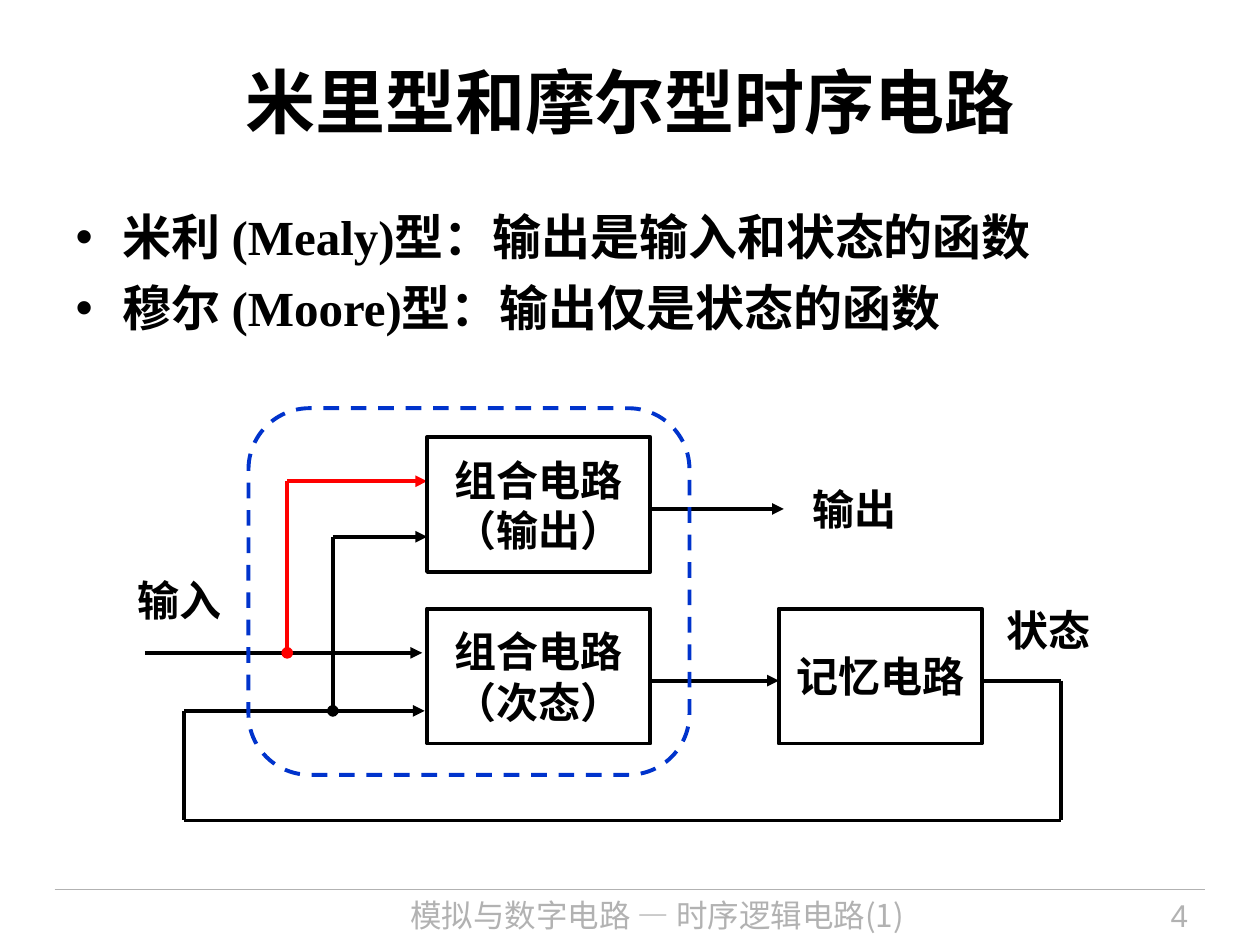
from lxml.etree import SubElement
from pptx import Presentation
from pptx.dml.color import RGBColor
from pptx.enum.dml import MSO_LINE
from pptx.enum.shapes import MSO_CONNECTOR, MSO_SHAPE
from pptx.enum.text import MSO_ANCHOR, MSO_AUTO_SIZE, PP_ALIGN
from pptx.oxml.ns import qn
from pptx.util import Cm, Pt

BLACK = RGBColor(0x00, 0x00, 0x00)
WHITE = RGBColor(0xFF, 0xFF, 0xFF)
RED = RGBColor(0xFF, 0x00, 0x00)
BLUE = RGBColor(0x00, 0x33, 0xCC)
GRAY = RGBColor(0xB2, 0xB2, 0xB2)
SERIF, SANS, CHINESE = "Times New Roman", "Arial", "Noto Sans CJK SC"


def format_paragraph(paragraph, size, font_name, color=BLACK, bold=True, align=PP_ALIGN.CENTER):
    paragraph.alignment = align
    font = paragraph.font
    font.size, font.name, font.bold = Pt(size), font_name, bold
    font.color.rgb = color


def place(shape, left, top, width, height):
    shape.left, shape.top = Cm(left), Cm(top)
    shape.width, shape.height = Cm(width), Cm(height)


def add_line(slide, start, end, color=BLACK, width=2.25, tail=None):
    points = [Cm(value) for value in (*start, *end)]
    connector = slide.shapes.add_connector(MSO_CONNECTOR.STRAIGHT, *points)
    connector.line.color.rgb = color
    connector.line.width = Pt(width)
    if tail:
        SubElement(connector.line._get_or_add_ln(), qn("a:tailEnd"), type=tail)
    SubElement(connector._element.spPr, qn("a:effectLst"))


def add_label(slide, box, text, size, font_name, **style):
    label = slide.shapes.add_textbox(*[Cm(value) for value in box])
    label.text_frame.word_wrap = True
    label.text_frame.text = text
    format_paragraph(label.text_frame.paragraphs[0], size, font_name, **style)


def add_block(slide, box, lines):
    block = slide.shapes.add_shape(MSO_SHAPE.RECTANGLE, *[Cm(value) for value in box])
    block.shadow.inherit = False
    block.fill.solid()
    block.fill.fore_color.rgb = WHITE
    block.line.color.rgb = BLACK
    block.line.width = Pt(2.25)
    frame = block.text_frame
    frame.margin_left = frame.margin_right = frame.margin_top = frame.margin_bottom = 0
    frame.word_wrap = False
    frame.vertical_anchor = MSO_ANCHOR.MIDDLE
    frame.text = "\n".join(lines)
    for paragraph in frame.paragraphs:
        format_paragraph(paragraph, 24, SANS)


def fill_title(slide, box, text):
    title = slide.shapes.title
    place(title, *box)
    frame = title.text_frame
    frame.text = text
    frame.auto_size = MSO_AUTO_SIZE.NONE
    frame.vertical_anchor = MSO_ANCHOR.MIDDLE
    format_paragraph(frame.paragraphs[0], 40, SERIF)


def fill_list(slide, box, items):
    body = slide.placeholders[1]
    place(body, *box)
    frame = body.text_frame
    frame.text = "\n".join(items)
    frame.auto_size = MSO_AUTO_SIZE.NONE
    for paragraph in frame.paragraphs:
        properties = paragraph._p.get_or_add_pPr()
        properties.set("marL", str(Cm(0.95)))
        properties.set("indent", str(-Cm(0.95)))
        paragraph.space_before, paragraph.space_after = Pt(0), Pt(7)
        SubElement(properties, qn("a:buFont"), typeface=SANS)
        SubElement(properties, qn("a:buChar"), char="•")
        format_paragraph(paragraph, 28, SERIF, align=PP_ALIGN.LEFT)


def draw_circuit(slide, left, top):
    def at(x, y):
        return left + x, top + y

    # Column and row positions of the wiring
    feedback_x, input_tap_x, state_tap_x = 1.32, 3.4, 4.32
    logic_left, logic_right = 6.22, 10.72
    memory_left, memory_right, state_x = 13.31, 17.4, 19
    input_y, state_y, next_y, bottom_y = 4.93, 6.1, 5.49, 8.31
    red_y, output_y, black_y = 1.47, 2.03, 2.59
    block_height, lower_top = 2.72, 4.04

    # Wires: start, end, colour, end mark
    wires = [
        ((0.53, input_y), (6.12, input_y), BLACK, "triangle"),
        ((feedback_x, state_y), (6.17, state_y), BLACK, "triangle"),
        ((state_tap_x, black_y), (logic_left, black_y), BLACK, "triangle"),
        ((state_tap_x, black_y), (state_tap_x, state_y), BLACK, "oval"),
        ((input_tap_x, red_y), (logic_left, red_y), RED, "triangle"),
        ((input_tap_x, red_y), (input_tap_x, input_y), RED, "oval"),
        ((logic_right, next_y), (memory_left, next_y), BLACK, "triangle"),
        ((memory_right, next_y), (state_x, next_y), BLACK, None),
        ((state_x, next_y), (state_x, bottom_y), BLACK, None),
        ((feedback_x, bottom_y), (state_x, bottom_y), BLACK, None),
        ((logic_right, output_y), (13.41, output_y), BLACK, "triangle"),
        ((feedback_x, state_y), (feedback_x, bottom_y), BLACK, None),
    ]
    for start, end, color, tail in wires:
        add_line(slide, at(*start), at(*end), color, tail=tail)

    # Signal names
    for text, x, y in (("输出", 13.61, 1.4), ("状态", 17.53, 3.84), ("输入", 0, 3.23)):
        add_label(slide, (*at(x, y), 2.45, 1.27), text, 24, SERIF)

    # Dashed frame around the combinational logic
    frame_box = (*at(2.62, 0), 8.89, 7.39)
    frame = slide.shapes.add_shape(MSO_SHAPE.ROUNDED_RECTANGLE, *[Cm(v) for v in frame_box])
    frame.shadow.inherit = False
    frame.fill.background()
    frame.line.color.rgb = BLUE
    frame.line.width = Pt(2.25)
    frame.line.dash_style = MSO_LINE.DASH

    # Circuit blocks
    logic_width = logic_right - logic_left
    for x, y, width, lines in (
        (logic_left, 0.58, logic_width, ["组合电路", "（输出）"]),
        (logic_left, lower_top, logic_width, ["组合电路", "（次态）"]),
        (memory_left, lower_top, memory_right - memory_left, ["记忆电路"]),
    ):
        add_block(slide, (*at(x, y), width, block_height), lines)


def draw_footer(slide, left, top, width):
    add_line(slide, (left, top), (left + width, top), GRAY, width=0.75)
    add_label(slide, (left + 5, top, 14.3, 1.12), "模拟与数字电路 — 时序逻辑电路(1)",
              18, CHINESE, color=GRAY, bold=False)
    add_label(slide, (left + width - 3.48, top, 3.38, 1.12), "4",
              18, SANS, color=GRAY, bold=False, align=PP_ALIGN.RIGHT)


def main():
    presentation = Presentation()
    presentation.slide_width, presentation.slide_height = Cm(25.4), Cm(19.05)
    slide = presentation.slides.add_slide(presentation.slide_layouts[1])
    draw_footer(slide, 1.1, 17.93, 23.2)
    fill_title(slide, (1.27, 0.43, 22.86, 3.18), "米里型和摩尔型时序电路")
    fill_list(slide, (1.27, 4.04, 22.86, 3.58), [
        "米利 (Mealy)型：输出是输入和状态的函数",
        "穆尔 (Moore)型：输出仅是状态的函数",
    ])
    draw_circuit(slide, 2.39, 8.23)
    presentation.save("out.pptx")


if __name__ == "__main__":
    main()
